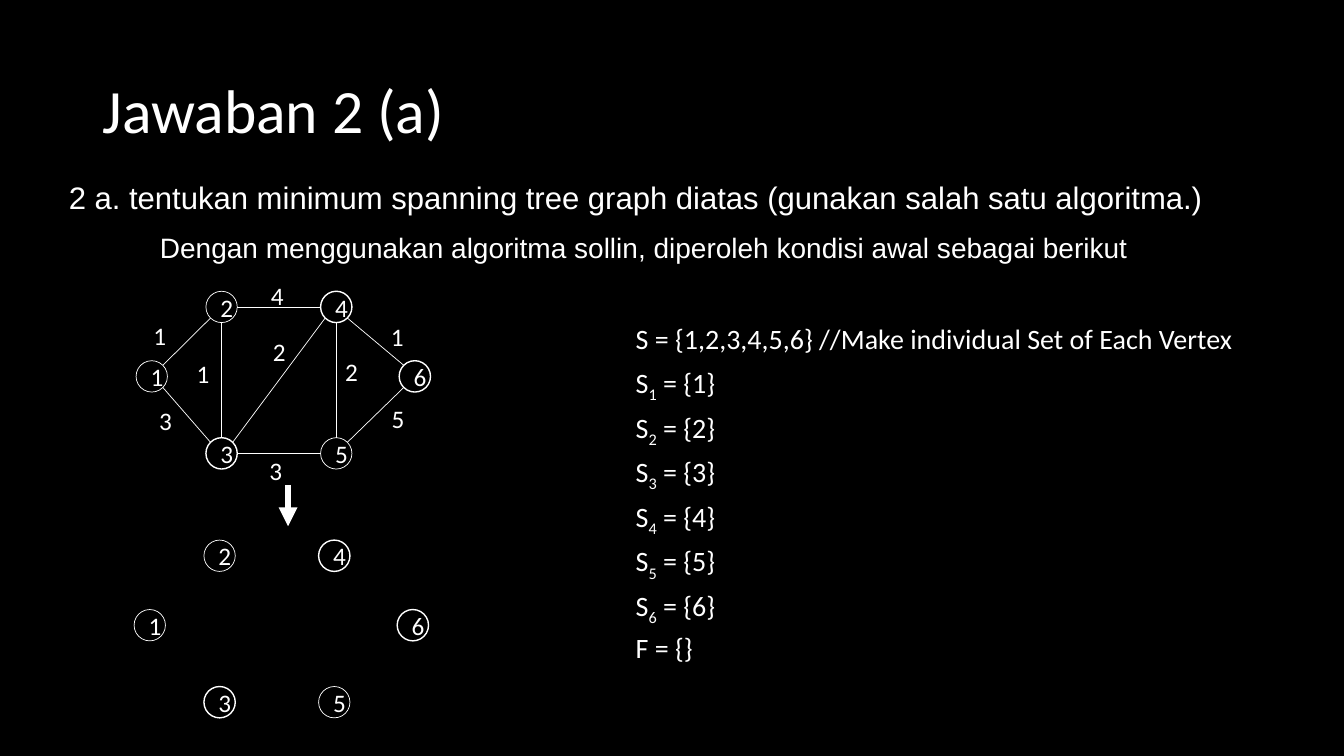
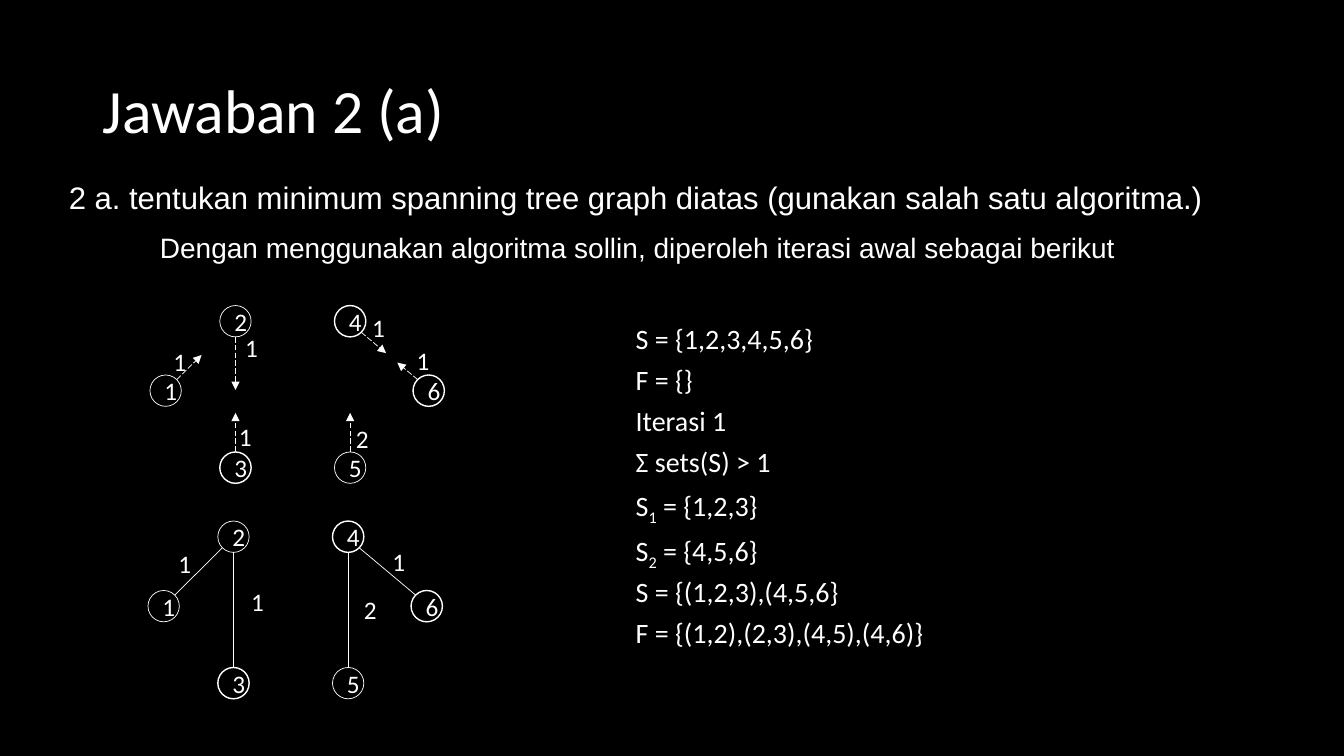
import dataclasses
import math

import pptx
import pptx.dml.color
import pptx.enum.dml
import pptx.enum.shapes
import pptx.enum.text
import pptx.oxml
import pptx.oxml.ns
import pptx.util
from lxml import etree
from pptx.util import Cm

ALIGN = pptx.enum.text.PP_ALIGN
ANCHOR = pptx.enum.text.MSO_ANCHOR
WHITE = "FFFFFF"
BLACK = "000000"
HEADING_FONT = "Calibri"
QUESTION_FONT = "Arial"
TITLE = "Jawaban 2 (a)"
QUESTION = "2 a. tentukan minimum spanning tree graph diatas (gunakan salah satu algoritma.)"
NODE_SIZE = 0.79
LABEL_WIDTH, LABEL_HEIGHT = 1.55, 0.58


@dataclasses.dataclass(frozen=True)
class Node:
    """A vertex; left and top are in cm from the corner of its graph."""
    name: int
    left: float
    top: float
    line_width: float


@dataclasses.dataclass(frozen=True)
class Edge:
    """A weighted edge; a reach below 1 gives a dashed arrow covering that share."""
    start: int
    end: int
    weight: int
    label_x: float
    label_y: float
    reach: float = 1


@dataclasses.dataclass(frozen=True)
class Graph:
    left: float
    top: float
    edges: tuple[Edge, ...] = ()


@dataclasses.dataclass(frozen=True)
class Page:
    subtitle: str
    set_lines: tuple[str, ...]
    graphs: tuple[Graph, ...]
    has_step_arrow: bool = False


NODES = {node.name: node for node in (
    Node(2, 1.76, 0, 0.5),
    Node(1, 0, 1.75, 0.5),
    Node(5, 4.65, 3.69, 0.5),
    Node(3, 1.76, 3.69, 1),
    Node(4, 4.65, 0, 1),
    Node(6, 6.63, 1.75, 1),
)}

PAGES = (
    Page(
        "Dengan menggunakan algoritma sollin, diperoleh kondisi awal sebagai berikut",
        ("S = {1,2,3,4,5,6} //Make individual Set of Each Vertex",
         *(f"S_{name} = {{{name}}}" for name in sorted(NODES)),
         "F = {}"),
        (Graph(3.43, 7.34, (
            Edge(1, 2, 1, 4.03, 8.45),
            Edge(1, 3, 3, 4.17, 10.6),
            Edge(2, 4, 4, 6.99, 7.45),
            Edge(3, 4, 2, 7.04, 8.85),
            Edge(3, 5, 3, 6.95, 11.85),
            Edge(4, 6, 1, 10.01, 8.47),
            Edge(6, 5, 5, 10.03, 10.54),
            Edge(2, 3, 1, 5.12, 9.41),
            Edge(5, 4, 2, 8.86, 9.36))),
         Graph(3.38, 13.61)),
        has_step_arrow=True,
    ),
    Page(
        "Dengan menggunakan algoritma sollin, diperoleh iterasi awal sebagai berikut",
        ("S = {1,2,3,4,5,6}", "F = {}", "Iterasi 1", "Σ sets(S) > 1",
         "S_1 = {1,2,3}", "S_2 = {4,5,6}", "S = {(1,2,3),(4,5,6}",
         "F = {(1,2),(2,3),(4,5),(4,6)}"),
        (Graph(3.78, 7.7, (
            Edge(1, 2, 1, 4.53, 9.11, 0.52),
            Edge(2, 3, 1, 6.34, 8.75, 0.46),
            Edge(3, 2, 1, 6.18, 11.01, 0.34),
            Edge(4, 6, 1, 9.54, 8.24, 0.44),
            Edge(6, 4, 1, 10.66, 9.08, 0.36),
            Edge(5, 4, 2, 9.13, 11.04, 0.34))),
         Graph(3.73, 13.13, (
             Edge(1, 2, 1, 4.66, 14.19),
             Edge(3, 2, 1, 6.49, 15.15),
             Edge(4, 6, 1, 10.05, 14.16),
             Edge(5, 4, 2, 9.33, 15.35)))),
    ),
)


def color(value: str) -> pptx.dml.color.RGBColor:
    return pptx.dml.color.RGBColor.from_string(value)


def style(para, size: float, font: str = HEADING_FONT, align=ALIGN.LEFT,
          spacing: float = 1, before: float = 0) -> None:
    para.alignment = align
    para.line_spacing = spacing
    para.space_before = pptx.util.Pt(before)
    para.font.size = pptx.util.Pt(size)
    para.font.name = font
    para.font.color.rgb = color(WHITE)


def place(shape, left: float, top: float, width: float, height: float) -> None:
    shape.left, shape.top = Cm(left), Cm(top)
    shape.width, shape.height = Cm(width), Cm(height)


def prepare_frame(shape, anchor=ANCHOR.TOP):
    frame = shape.text_frame
    frame.word_wrap = True
    frame.auto_size = pptx.enum.text.MSO_AUTO_SIZE.NONE
    frame.vertical_anchor = anchor
    return frame


def add_box(slide, left: float, top: float, width: float, height: float, anchor=ANCHOR.TOP):
    box = slide.shapes.add_textbox(Cm(left), Cm(top), Cm(width), Cm(height))
    return prepare_frame(box, anchor)


def add_line(slide, start: tuple[float, float], end: tuple[float, float],
             width: float, arrow: bool = False, dashed: bool = False) -> None:
    connector = slide.shapes.add_connector(
        pptx.enum.shapes.MSO_CONNECTOR.STRAIGHT, *map(Cm, start), *map(Cm, end))
    connector.line.width = pptx.util.Pt(width)
    connector.line.color.rgb = color(WHITE)
    if dashed:
        connector.line.dash_style = pptx.enum.dml.MSO_LINE.LONG_DASH
    properties = connector._element.spPr
    qn = pptx.oxml.ns.qn
    if arrow:
        etree.SubElement(properties.find(qn("a:ln")), qn("a:tailEnd"), type="triangle")
    etree.SubElement(properties, qn("a:effectLst"))


def rim_point(graph: Graph, node: Node, other: Node) -> tuple[float, float]:
    """Point on the node's rim facing the other node, in steps of 45 degrees."""
    across, down = other.left - node.left, other.top - node.top
    step_x = math.copysign(1, across) if across else 0
    step_y = math.copysign(1, down) if down else 0
    radius = NODE_SIZE / 2
    scale = radius / math.hypot(step_x, step_y)
    return (graph.left + node.left + radius + step_x * scale,
            graph.top + node.top + radius + step_y * scale)


def draw_node(slide, graph: Graph, node: Node) -> None:
    circle = slide.shapes.add_shape(
        pptx.enum.shapes.MSO_SHAPE.OVAL, Cm(graph.left + node.left),
        Cm(graph.top + node.top), Cm(NODE_SIZE), Cm(NODE_SIZE))
    circle.shadow.inherit = False
    circle.fill.background()
    circle.line.color.rgb = color(WHITE)
    circle.line.width = pptx.util.Pt(node.line_width)
    para = prepare_frame(circle, ANCHOR.MIDDLE).paragraphs[0]
    para.text = str(node.name)
    style(para, 18, align=ALIGN.CENTER)


def draw_edge(slide, graph: Graph, edge: Edge) -> None:
    first, last = NODES[edge.start], NODES[edge.end]
    start = rim_point(graph, first, last)
    goal = rim_point(graph, last, first)
    end = (start[0] + edge.reach * (goal[0] - start[0]),
           start[1] + edge.reach * (goal[1] - start[1]))
    partial = edge.reach < 1
    add_line(slide, start, end, 0.5, arrow=partial, dashed=partial)
    frame = add_box(slide, edge.label_x - LABEL_WIDTH / 2, edge.label_y - LABEL_HEIGHT / 2,
                    LABEL_WIDTH, LABEL_HEIGHT, ANCHOR.MIDDLE)
    para = frame.paragraphs[0]
    para.text = str(edge.weight)
    style(para, 18, align=ALIGN.CENTER)


def draw_graph(slide, graph: Graph) -> None:
    for node in NODES.values():
        draw_node(slide, graph, node)
    for edge in graph.edges:
        draw_edge(slide, graph, edge)


def draw_headings(slide, subtitle: str) -> None:
    title, body = slide.shapes.title, slide.placeholders[1]
    place(title, 2.33, 1.01, 29.21, 3.68)
    para = prepare_frame(title, ANCHOR.MIDDLE).paragraphs[0]
    para.text = TITLE
    style(para, 44, spacing=0.9)

    place(body, 1.48, 4.47, 29.21, 1.24)
    question = prepare_frame(body).paragraphs[0]
    question.text = QUESTION
    properties = question._p.get_or_add_pPr()
    properties.set("marL", "0")
    properties.set("indent", "0")
    etree.SubElement(properties, pptx.oxml.ns.qn("a:buNone"))
    style(question, 22.2, QUESTION_FONT, ALIGN.JUSTIFY, 0.9)

    para = add_box(slide, 3.78, 5.77, 25.6, 1.24).paragraphs[0]
    para.text = subtitle
    style(para, 20, QUESTION_FONT, ALIGN.JUSTIFY, 0.9)


def draw_set_lines(slide, lines: tuple[str, ...]) -> None:
    """List the sets; the character after an underscore becomes a subscript."""
    frame = add_box(slide, 15.77, 8.15, 15.85, 8.64)
    for index, line in enumerate(lines):
        para = frame.add_paragraph() if index else frame.paragraphs[0]
        base, mark, rest = line.partition("_")
        para.add_run().text = base
        if mark:
            span = para.add_run()
            span.text = rest[0]
            span.font._element.set("baseline", "-25000")
            para.add_run().text = rest[1:]
        style(para, 20, spacing=0.8, before=10 if index else 0)


def main() -> None:
    deck = pptx.Presentation()
    deck.slide_width, deck.slide_height = Cm(33.87), Cm(19.05)
    background = deck.slide_master.background.fill
    background.solid()
    background.fore_color.rgb = color(BLACK)
    for page in PAGES:
        slide = deck.slides.add_slide(deck.slide_layouts[1])
        draw_headings(slide, page.subtitle)
        draw_set_lines(slide, page.set_lines)
        for graph in page.graphs:
            draw_graph(slide, graph)
        if page.has_step_arrow:
            add_line(slide, (7.26, 12.22), (7.26, 13.26), 4.5, arrow=True)
    deck.save("out.pptx")


if __name__ == "__main__":
    main()
